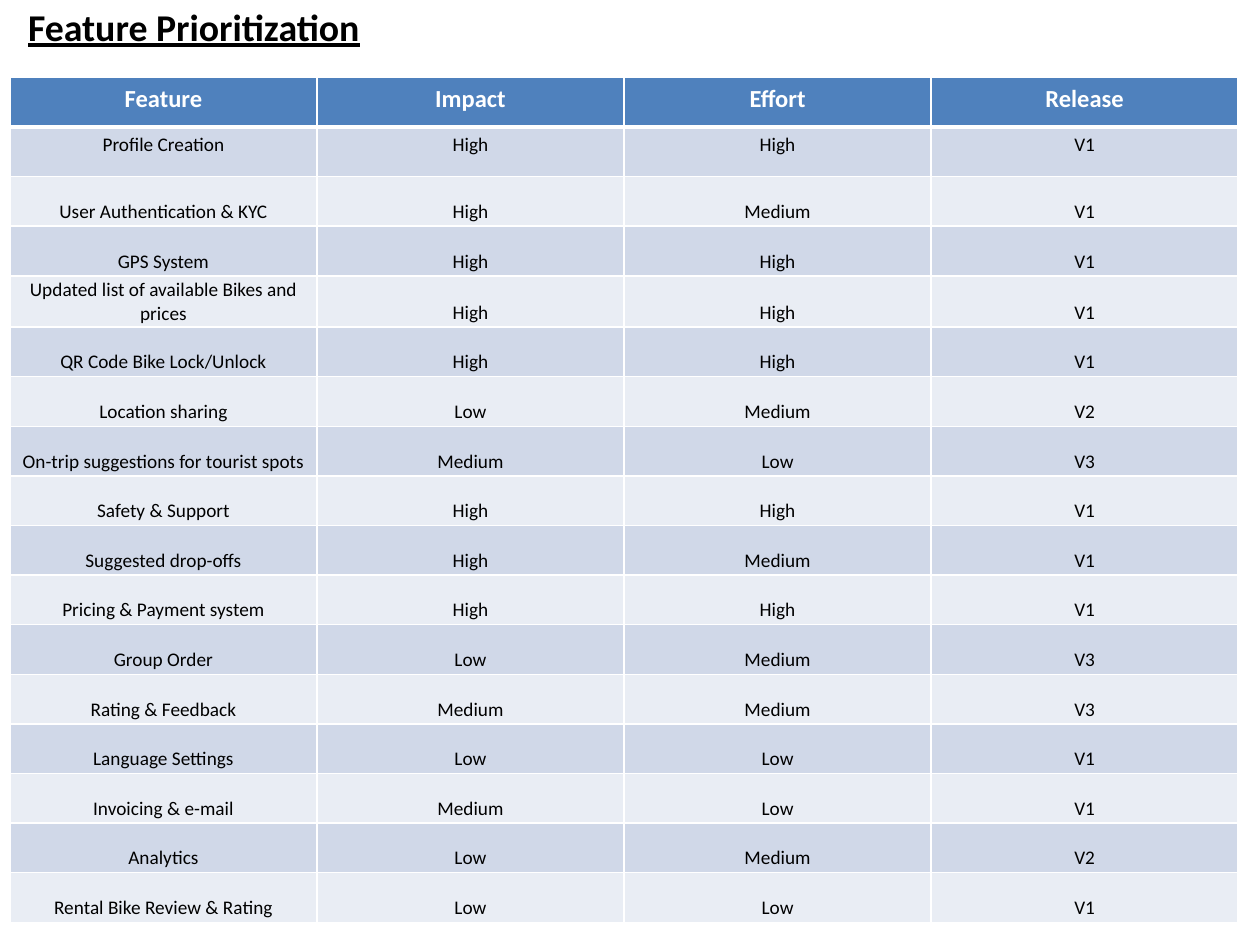
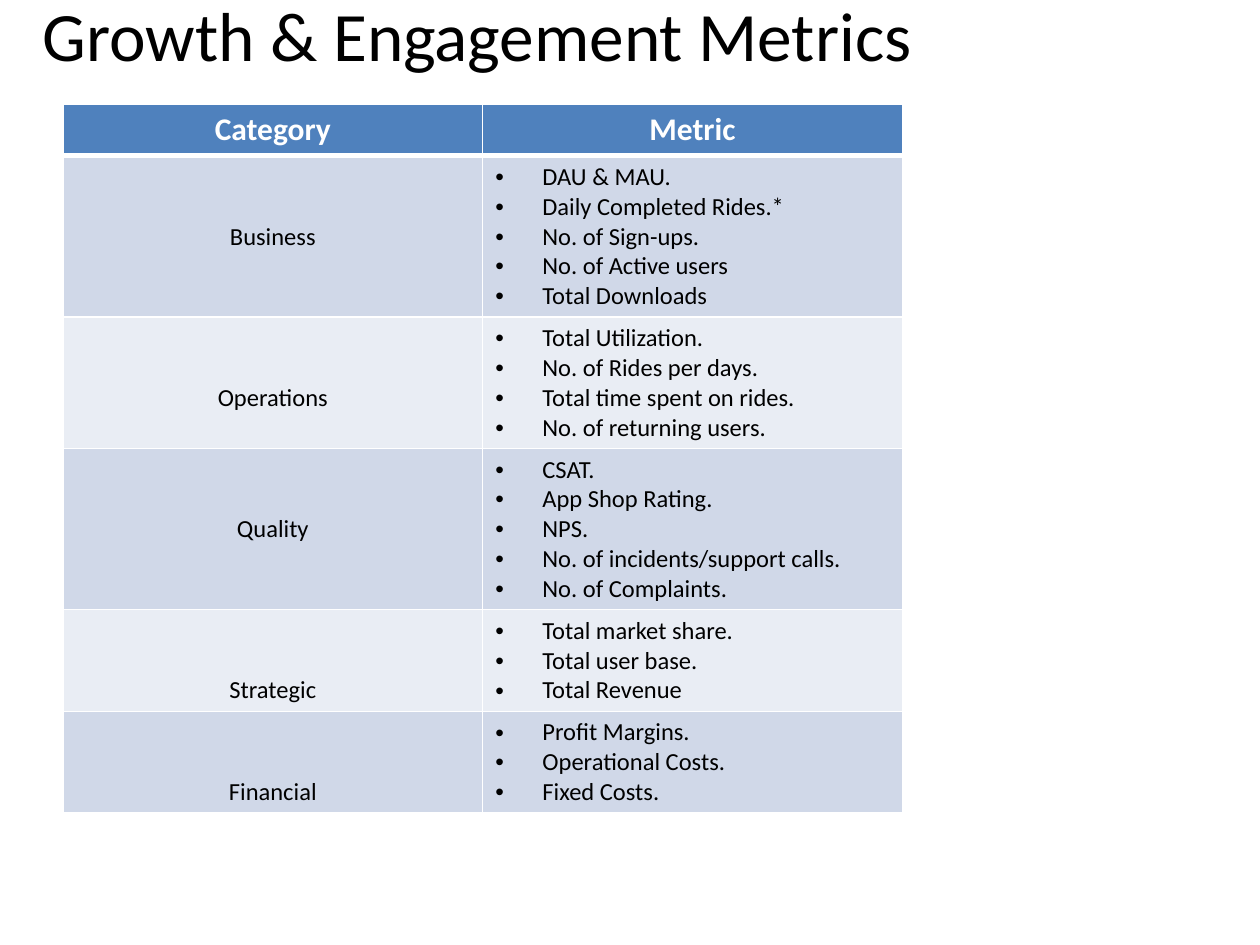
from lxml import etree
from pptx import Presentation
from pptx.dml.color import RGBColor
from pptx.enum.text import MSO_ANCHOR as Anchor, PP_ALIGN as Align
from pptx.oxml.ns import qn
from pptx.util import Cm, Pt

FEATURE_TITLE = "Feature Prioritization"
FEATURE_HEADER = ("Feature", "Impact", "Effort", "Release")
FEATURES = [
    ("Profile Creation", "High", "High", "V1"),
    ("User Authentication & KYC", "High", "Medium", "V1"),
    ("GPS System", "High", "High", "V1"),
    ("Updated list of available Bikes and prices", "High", "High", "V1"),
    ("QR Code Bike Lock/Unlock", "High", "High", "V1"),
    ("Location sharing", "Low", "Medium", "V2"),
    ("On-trip suggestions for tourist spots", "Medium", "Low", "V3"),
    ("Safety & Support", "High", "High", "V1"),
    ("Suggested drop-offs", "High", "Medium", "V1"),
    ("Pricing & Payment system", "High", "High", "V1"),
    ("Group Order", "Low", "Medium", "V3"),
    ("Rating & Feedback", "Medium", "Medium", "V3"),
    ("Language Settings", "Low", "Low", "V1"),
    ("Invoicing & e-mail", "Medium", "Low", "V1"),
    ("Analytics", "Low", "Medium", "V2"),
    ("Rental Bike Review & Rating", "Low", "Low", "V1"),
]

METRIC_TITLE = "Growth & Engagement Metrics"
METRIC_HEADER = ("Category", "Metric")
METRICS = [
    ("Business", ["DAU & MAU.", "Daily Completed Rides.*", "No. of Sign-ups.",
                  "No. of Active users", "Total Downloads"]),
    ("Operations", ["Total Utilization.", "No. of Rides per days.",
                    "Total time spent on rides.", "No. of returning users."]),
    ("Quality", ["CSAT.", "App Shop Rating.", "NPS.",
                 "No. of incidents/support calls.", "No. of Complaints."]),
    ("Strategic", ["Total market share.", "Total user base.", "Total Revenue"]),
    ("Financial", ["Profit Margins.", "Operational Costs.", "Fixed Costs."]),
]

FONT = "Calibri"
BLACK = RGBColor(0x00, 0x00, 0x00)
WHITE = RGBColor(0xFF, 0xFF, 0xFF)
HEADER_BLUE = RGBColor(0x4F, 0x81, 0xBD)
BANDS = (RGBColor(0xD0, 0xD8, 0xE8), RGBColor(0xE9, 0xED, 0xF4))
THIN, THICK = Pt(1), Pt(3)
LINE_H, CELL_PAD = 0.6, 0.25


def style_runs(p, size, color, bold=False):
    for r in p.runs:
        r.font.name = FONT
        r.font.size = Pt(size)
        r.font.bold = bold
        r.font.color.rgb = color


def add_title(slide, text, width, height, size, emphasis=False):
    tf = slide.shapes.add_textbox(0, 0, Cm(width), Cm(height)).text_frame
    tf.word_wrap = True
    tf.vertical_anchor = Anchor.MIDDLE
    tf.text = text
    p = tf.paragraphs[0]
    p.alignment = Align.CENTER
    style_runs(p, size, BLACK, emphasis)
    p.runs[0].font.underline = emphasis


def set_borders(cell, top, bottom):
    tc_pr = cell._tc.get_or_add_tcPr()
    for side, width in (("L", THIN), ("R", THIN), ("T", top), ("B", bottom)):
        ln = etree.SubElement(tc_pr, qn(f"a:ln{side}"), w=str(width))
        fill = etree.SubElement(ln, qn("a:solidFill"))
        etree.SubElement(fill, qn("a:srgbClr"), val=str(WHITE))


def add_bullet(p):
    p_pr = p._p.get_or_add_pPr()
    indent = Cm(0.95)
    p_pr.set("marL", str(indent))
    p_pr.set("indent", str(-indent))
    etree.SubElement(p_pr, qn("a:buFont"), typeface="Arial")
    etree.SubElement(p_pr, qn("a:buChar"), char="•")


def add_grid(slide, left, top, col_width, heights, rows, header_size, body_size):
    n_cols = len(rows[0])
    table = slide.shapes.add_table(len(rows), n_cols, Cm(left), Cm(top),
                                   Cm(col_width * n_cols), Cm(sum(heights))).table
    for column in table.columns:
        column.width = Cm(col_width)
    for i, (values, height) in enumerate(zip(rows, heights)):
        table.rows[i].height = Cm(height)
        for cell, value in zip(table.rows[i].cells, values):
            is_list = isinstance(value, list)
            set_borders(cell, THICK if i == 1 else THIN, THICK if i == 0 else THIN)
            cell.fill.solid()
            cell.fill.fore_color.rgb = BANDS[(i - 1) % 2] if i else HEADER_BLUE
            cell.text = "\n".join(value) if is_list else value
            for p in cell.text_frame.paragraphs:
                if is_list:
                    add_bullet(p)
                else:
                    p.alignment = Align.CENTER
                if i:
                    style_runs(p, body_size, BLACK)
                else:
                    style_runs(p, header_size, WHITE, True)
    return table


def add_features(slide):
    add_title(slide, FEATURE_TITLE, 7.82, 1.07, 21.6, True)
    rows = [FEATURE_HEADER] + FEATURES
    table = add_grid(slide, 0.2, 1.56, 6.19, [1] * len(rows), rows, 14, 11)
    for i in range(2, len(rows)):
        for cell in table.rows[i].cells:
            cell.vertical_anchor = Anchor.BOTTOM
            cell.margin_left = cell.margin_right = Cm(0.08)
            cell.margin_top = cell.margin_bottom = Cm(0.05)


def add_metrics(slide):
    add_title(slide, METRIC_TITLE, 19.25, 1.35, 39.6)
    heights = [1.03] + [LINE_H * len(items) + CELL_PAD for _, items in METRICS]
    table = add_grid(slide, 1.27, 2.11, 8.46, heights,
                     [METRIC_HEADER] + METRICS, 18, 14)
    for i in range(1, len(heights)):
        table.cell(i, 0).text_frame.paragraphs[0].line_spacing = 3.0


def main():
    prs = Presentation()
    prs.slide_width, prs.slide_height = Cm(25.4), Cm(19.05)
    for build in (add_features, add_metrics):
        build(prs.slides.add_slide(prs.slide_layouts[6]))
    prs.save("out.pptx")


if __name__ == "__main__":
    main()
